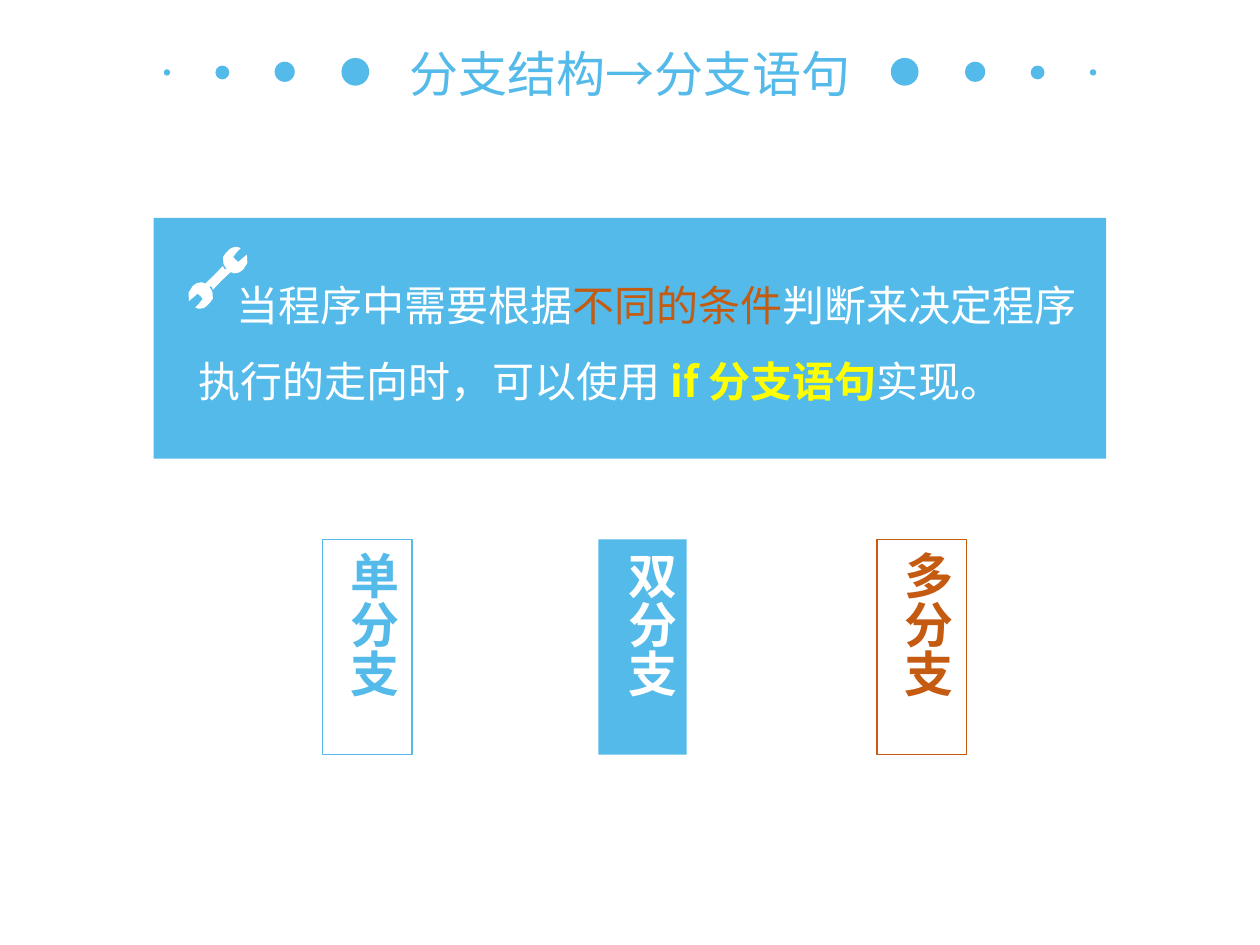
from dataclasses import dataclass

from lxml.etree import SubElement
from pptx import Presentation
from pptx.dml.color import RGBColor
from pptx.enum.shapes import MSO_SHAPE
from pptx.enum.text import MSO_ANCHOR, MSO_AUTO_SIZE, PP_ALIGN
from pptx.oxml.ns import qn
from pptx.util import Pt

PX = 9144  # EMU per px, 100 px to the inch


@dataclass(frozen=True)
class Theme:
    font: str = "Noto Sans CJK SC"
    blue: str = "53BAE9"
    orange: str = "C55A11"
    yellow: str = "FFFF00"
    white: str = "FFFFFF"
    heading: int = 28
    body: int = 24


THEME = Theme()

# Content
TITLE = "分支结构→分支语句"
STATEMENT = [  # text, colour, bold
    ("当程序中需要根据", THEME.white, False),
    ("不同的条件", THEME.orange, False),
    ("判断来决定程序执行的走向时，可以使用 ", THEME.white, False),
    ("if 分支语句", THEME.yellow, True),
    ("实现。", THEME.white, False),
]
BRANCHES = [  # text, left, width, text colour, fill, line, anchor, space after
    ("单分支", 256, 71, THEME.blue, None, THEME.blue, MSO_ANCHOR.MIDDLE, 0),
    ("双分支", 475, 70, THEME.white, THEME.blue, None, MSO_ANCHOR.TOP, 6),
    ("多分支", 696, 71, THEME.orange, THEME.white, THEME.orange, MSO_ANCHOR.MIDDLE, 0),
]
BRANCH_TOP, BRANCH_HEIGHT = 428, 171

# Title dots: left and diameter; mirrored about the slide centre
DOTS = [(271, 22), (218, 16), (171, 11), (130, 5)]
DOT_CENTRE = 57

# Half of the wrench as cubic curves; a half turn gives the other half
WRENCH_START = (187, 196)
WRENCH_HALF = [
    ((185, 196), (183, 197), (182, 198)),
    ((180, 200), (178, 202), (177, 204)),
    ((176, 208), (178, 211), (180, 214)),
    ((178, 214), (177, 213), (177, 211)),
    ((172, 216), (168, 221), (163, 225)),
    ((162, 225), (161, 224), (160, 224)),
    ((157, 224), (155, 225), (153, 227)),
    ((150, 230), (148, 234), (150, 239)),
    ((152, 237), (155, 235), (157, 233)),
    ((158, 234), (160, 236), (161, 237)),
    ((159, 240), (157, 242), (155, 244)),
    ((156, 245), (158, 245), (159, 245)),
]
CURVE_STEPS = 2


def paint(shape, fill=None, line=None):
    shape.shadow.inherit = False
    if fill:
        shape.fill.solid()
        shape.fill.fore_color.rgb = RGBColor.from_string(fill)
    else:
        shape.fill.background()
    if line:
        shape.line.color.rgb = RGBColor.from_string(line)
        shape.line.width = Pt(0.75)
    else:
        shape.line.fill.background()


def place(shape, left, top, width, height):
    shape.left, shape.top, shape.width, shape.height = (
        value * PX for value in (left, top, width, height))


def add_shape(page, kind, left, top, width, height, fill=None, line=None):
    shape = page.shapes.add_shape(kind, *(v * PX for v in (left, top, width, height)))
    paint(shape, fill, line)
    return shape


def set_font(font, size, color, bold=False):
    font.name, font.size, font.bold = THEME.font, Pt(size), bold
    font.color.rgb = RGBColor.from_string(color)
    # East Asian glyphs take their own typeface element
    SubElement(font._element, qn("a:ea")).set("typeface", THEME.font)


def curve_points(start, curves):
    points = [start]
    for first, second, end in curves:
        corners = (points[-1], first, second, end)
        for step in range(1, CURVE_STEPS + 1):
            t = step / CURVE_STEPS
            weights = ((1 - t) ** 3, 3 * t * (1 - t) ** 2, 3 * t * t * (1 - t), t ** 3)
            points.append(tuple(
                sum(w * corner[axis] for w, corner in zip(weights, corners))
                for axis in (0, 1)))
    return points


def add_wrench(page):
    half = curve_points(WRENCH_START, WRENCH_HALF)
    (x0, y0), (x1, y1) = half[0], half[-1]
    turned = [(x0 + x1 - x, y0 + y1 - y) for x, y in half]
    outline = [(round(x * PX), round(y * PX)) for x, y in half + turned[1:-1]]
    builder = page.shapes.build_freeform(*outline[0], scale=1.0)
    builder.add_line_segments(outline[1:], close=True)
    paint(builder.convert_to_shape(), THEME.white)


def add_dots(page):
    """Put the dots on the layout, where the title decoration belongs."""
    tree = page.slide_layout.shapes._spTree
    for left, size in DOTS:
        for x in (left, 1000 - left - size):
            dot = add_shape(page, MSO_SHAPE.OVAL, x, DOT_CENTRE - size // 2,
                            size, size, THEME.blue)
            dot._element.nvSpPr.cNvPr.set("id", str(100 + len(tree)))
            tree.append(dot._element)


def add_title(page):
    title = page.shapes.title
    place(title, 313, 29, 374, 57)
    frame = title.text_frame
    frame.text = TITLE
    frame.word_wrap = False
    frame.auto_size = MSO_AUTO_SIZE.NONE
    frame.vertical_anchor = MSO_ANCHOR.MIDDLE
    para = frame.paragraphs[0]
    para.alignment = PP_ALIGN.CENTER
    set_font(para.font, THEME.heading, THEME.blue)


def add_statement(page):
    add_shape(page, MSO_SHAPE.RECTANGLE, 122, 173, 756, 191, THEME.blue)
    add_wrench(page)
    box = page.shapes.add_textbox(*(v * PX for v in (148, 197, 730, 131)))
    box.text_frame.word_wrap = True
    box.text_frame.auto_size = MSO_AUTO_SIZE.SHAPE_TO_FIT_TEXT
    para = box.text_frame.paragraphs[0]
    para.line_spacing = 1.5
    para._p.get_or_add_pPr().set("indent", str(30 * PX))
    for text, color, bold in STATEMENT:
        span = para.add_run()
        span.text = text
        set_font(span.font, THEME.body, color, bold)


def add_branch(page, text, left, width, color, fill, line, anchor, space_after):
    box = add_shape(page, MSO_SHAPE.RECTANGLE, left, BRANCH_TOP, width, BRANCH_HEIGHT,
                    fill, line)
    frame = box.text_frame
    frame.text = text
    frame.word_wrap = True
    frame.auto_size = MSO_AUTO_SIZE.SHAPE_TO_FIT_TEXT
    frame.vertical_anchor = anchor
    frame.margin_left, frame.margin_right = 14 * PX, 10 * PX
    frame.margin_top = frame.margin_bottom = 5 * PX
    frame._txBody.bodyPr.set("vert", "eaVert")
    para = frame.paragraphs[0]
    para.alignment = PP_ALIGN.CENTER
    para.space_after = Pt(space_after)
    set_font(para.font, THEME.heading, color, True)


def main():
    deck = Presentation()
    deck.slide_width, deck.slide_height = 1000 * PX, 750 * PX
    page = deck.slides.add_slide(deck.slide_layouts[5])

    # Title between two rows of dots
    add_dots(page)
    add_title(page)

    # Statement panel and the three kinds of branch
    add_statement(page)
    for branch in BRANCHES:
        add_branch(page, *branch)
    deck.save("out.pptx")


if __name__ == "__main__":
    main()
